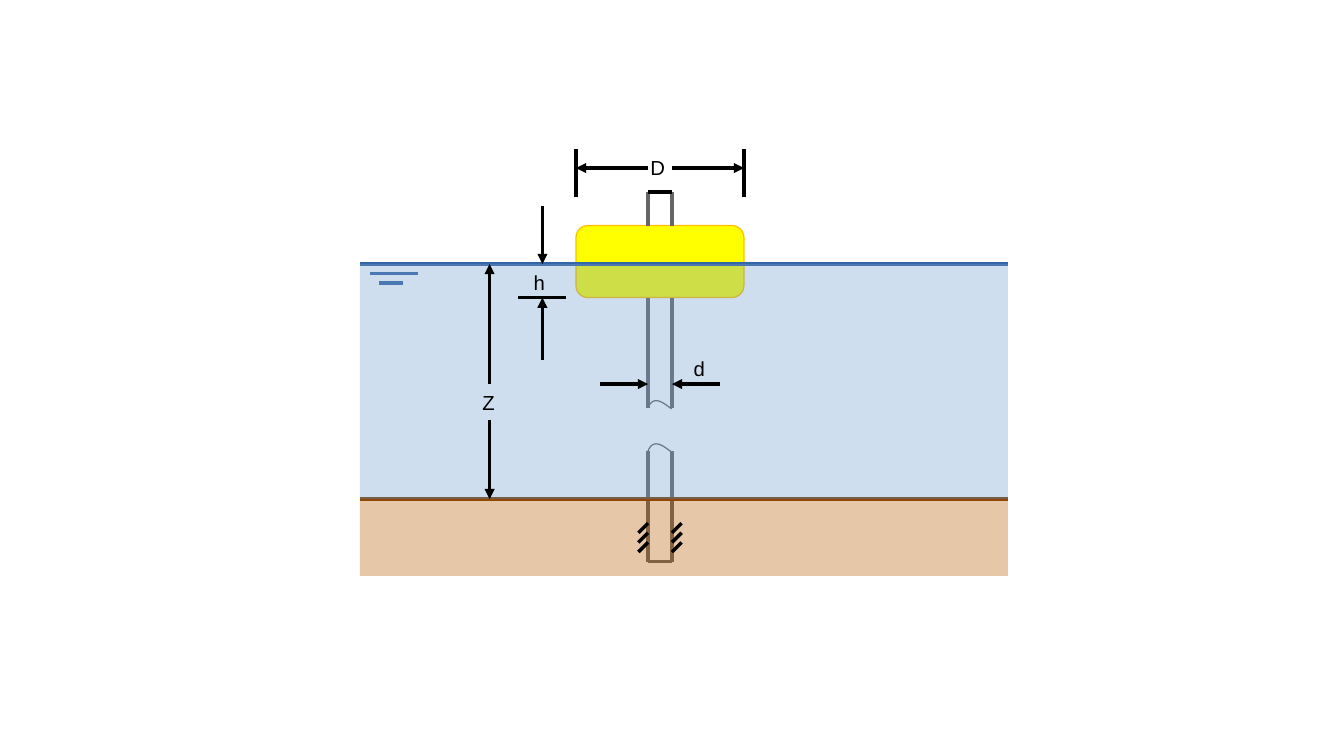
from pptx import Presentation, util as u
from pptx.dml.color import RGBColor
from pptx.enum import shapes, text
from pptx.oxml.ns import qn
from lxml import etree

BLACK = RGBColor(0x00, 0x00, 0x00)
GREY = RGBColor(0x66, 0x66, 0x66)
BLUE = RGBColor(0x34, 0x65, 0xA4)
WATER = RGBColor(0x72, 0x9F, 0xCF)
BROWN = RGBColor(0x7B, 0x3D, 0x00)
SOIL = RGBColor(0xB8, 0x5C, 0x00)
YELLOW = RGBColor(0xFF, 0xFF, 0x00)
AMBER = RGBColor(0xFF, 0xBF, 0x00)

# The drawing sits on a grid of one millimetre.
unit = u.Mm(1)
left, right = 75, 210
level, bed, base = 55, 104, 120
rod = (135, 140)
top, foot = 40, 117
cut, rest = 85, 94
rim = (120, 155)
deck, keel = 47, 62

deck_prs = Presentation()
deck_prs.slide_width = 280 * unit
deck_prs.slide_height = u.Mm(157.5)
slide = deck_prs.slides.add_slide(deck_prs.slide_layouts[6])
parts = slide.shapes


def line(x1, y1, x2, y2, color=BLACK, arrow=False):
    """Draw a hairline, with a triangle at its end if arrow is set."""
    item = parts.add_connector(shapes.MSO_CONNECTOR.STRAIGHT,
                               *(u.Mm(v) for v in (x1, y1, x2, y2)))
    item.line.color.rgb = color
    item.line.width = 0
    if arrow:
        etree.SubElement(item.line._get_or_add_ln(), qn("a:tailEnd"), type="triangle")
    etree.SubElement(item._element.spPr, qn("a:effectLst"))


def label(words, x, y, wide=20, high=12, size=12, font="Arial", color=BLACK):
    box = parts.add_textbox(*(u.Mm(v) for v in (x, y, wide, high)))
    frame = box.text_frame
    frame.word_wrap = True
    frame.auto_size = text.MSO_AUTO_SIZE.SHAPE_TO_FIT_TEXT
    run = frame.paragraphs[0].add_run()
    run.text = words
    run.font.size = u.Pt(size)
    run.font.name = font
    run.font.color.rgb = color


# Water level mark
line(77, 57, 87, 57, BLUE)
line(79, 59, 84, 59, BLUE)

# Float
buoy = parts.add_shape(shapes.MSO_SHAPE.ROUNDED_RECTANGLE, rim[0] * unit, deck * unit,
                       (rim[1] - rim[0]) * unit, (keel - deck) * unit)
buoy.shadow.inherit = False
buoy.fill.solid()
buoy.fill.fore_color.rgb = YELLOW
buoy.line.color.rgb = AMBER
buoy.line.width = 0
line(left, level, right, level, BLUE)

# Rod, broken between cut and rest
for low, high in ((deck, top), (cut, keel), (foot, rest)):
    for x in rod:
        line(x, low, x, high, GREY)
line(rod[0], top, rod[1], top)
line(rod[0], foot, rod[1], foot, GREY)

bend = ((0, 0), (1.2, -3), (3.5, -0.8), (4.8, 0.1))
steps = 24
for y in (rest, cut):
    curve = []
    for i in range(steps + 1):
        t = i / steps
        mix = ((1 - t) ** 3, 3 * t * (1 - t) ** 2, 3 * t * t * (1 - t), t ** 3)
        dx, dy = (sum(m * p[k] for m, p in zip(mix, bend)) for k in (0, 1))
        curve.append((u.Mm(rod[0] + dx), u.Mm(y + dy)))
    curve.append((u.Mm(rod[1]), u.Mm(y + 0.1)))
    path = parts.build_freeform(*curve[0])
    path.add_line_segments(curve[1:], close=False)
    wave = path.convert_to_shape()
    wave.shadow.inherit = False
    wave.fill.background()
    wave.line.color.rgb = GREY
    wave.line.width = 0

# Soil and water, see-through
line(left, bed, right, bed, BROWN)
for y, end, color in ((bed, base, SOIL), (level, bed, WATER)):
    area = parts.add_shape(shapes.MSO_SHAPE.RECTANGLE, left * unit, y * unit,
                           (right - left) * unit, (end - y) * unit)
    area.shadow.inherit = False
    area.fill.solid()
    area.fill.fore_color.rgb = color
    tint = area._element.spPr.find(qn("a:solidFill"))[0]
    etree.SubElement(tint, qn("a:alpha"), val="34000")
    area.line.fill.background()

# Clamp hatching on both sides of the rod
for x in (rod[0] - 2, rod[1]):
    for y in (111, 113, 115):
        line(x, y, x + 2, y - 2)

# Depth Z
label("Z", 98, 80, 15, 7.5)
line(102, 80, 102, level, arrow=True)
line(102, 87.5, 102, bed, arrow=True)

# Float width D
for x in rim:
    line(x, 41, x, 31)
label("D", 133, 31)
line(rod[1], 35, rim[1], 35, arrow=True)
line(rod[0], 35, rim[0], 35, arrow=True)

# Draught h
line(108, keel, 118, keel)
label("h", 108.7, level)
line(113, 75, 113, keel, arrow=True)
line(113, 43, 113, level, arrow=True)

# Rod width d
label("d", 142, 73)
line(125, 80, rod[0], 80, arrow=True)
line(150, 80, rod[1], 80, arrow=True)

deck_prs.save("out.pptx")
